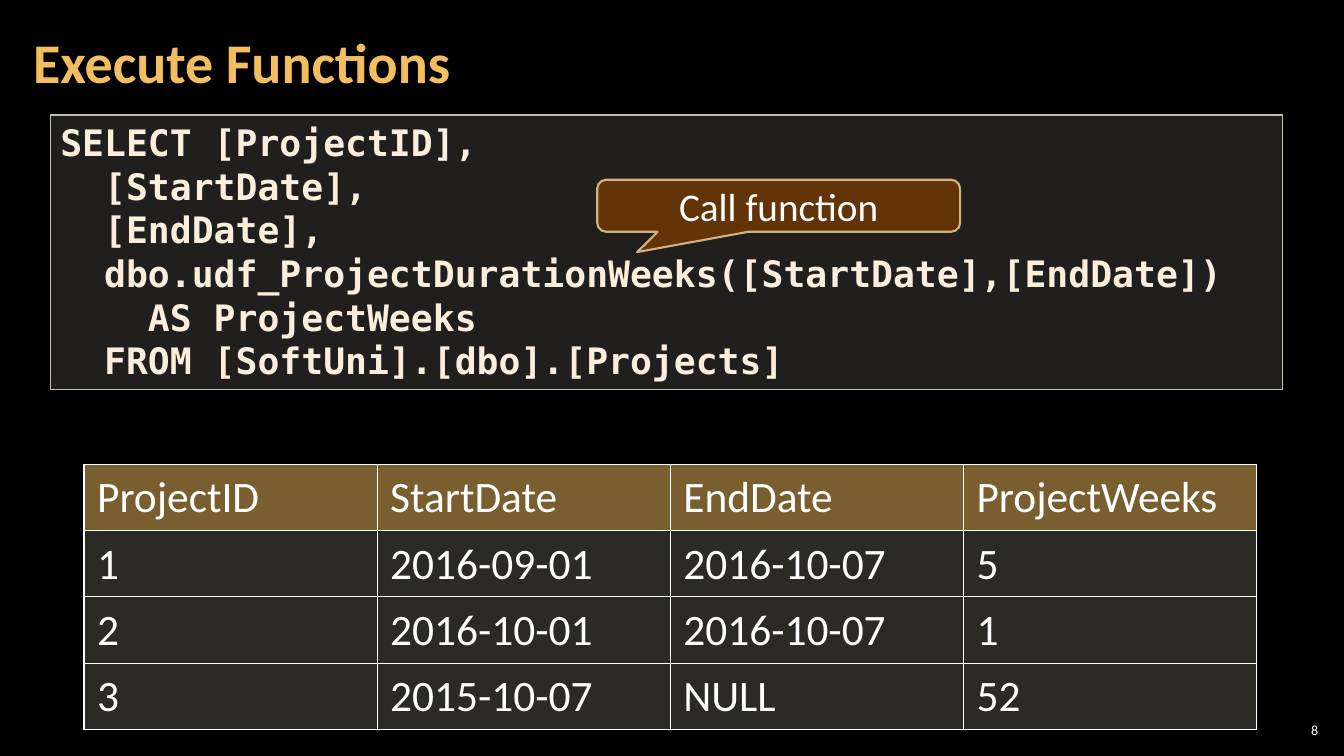
import dataclasses

import pptx
import pptx.dml.color
import pptx.enum.shapes
import pptx.enum.text
import pptx.oxml
import pptx.oxml.ns
import pptx.util

Shape = pptx.enum.shapes.MSO_SHAPE
Align = pptx.enum.text.PP_ALIGN
Anchor = pptx.enum.text.MSO_ANCHOR


@dataclasses.dataclass
class Theme:
    back: str = "000000"
    white: str = "FFFFFF"
    gold: str = "F3BE60"
    cream: str = "FBEEDC"
    sand: str = "D9D5C7"
    edge: str = "C7BFAC"
    brown: str = "663606"
    rim: str = "F8D49E"
    sans: str = "Calibri"
    mono: str = "DejaVu Sans Mono"
    title: int = 40
    cell: int = 31
    call: int = 28
    code: int = 26
    small: int = 10


class Deck:
    """Draws elements on one slide, placed on a grid of 16 columns and 9 rows."""

    def __init__(self, theme):
        self.theme = theme
        self.show = pptx.Presentation()
        self.show.slide_width = pptx.util.Inches(13.33)
        self.show.slide_height = pptx.util.Inches(7.5)
        self.slide = self.show.slides.add_slide(self.show.slide_layouts[6])
        self.paint(self.slide.background.fill, theme.back)

    def place(self, col, row, wide, high):
        unit_x, unit_y = self.show.slide_width / 16, self.show.slide_height / 9
        return [round(n) for n in (col * unit_x, row * unit_y, wide * unit_x, high * unit_y)]

    def rgb(self, color):
        return pptx.dml.color.RGBColor.from_string(color)

    def paint(self, fill, color):
        fill.solid()
        fill.fore_color.rgb = self.rgb(color)

    def fade(self, root, share):
        tint = root.find(".//" + pptx.oxml.ns.qn("a:srgbClr"))
        alpha = tint.makeelement(pptx.oxml.ns.qn("a:alpha"), {"val": str(share * 1000)})
        tint.append(alpha)

    def letter(self, frame, lines, size, color, face=None, bold=False, align=Align.LEFT,
               space=1.0, anchor=Anchor.MIDDLE, inset=(0.1, 0.05)):
        side, edge = (pptx.util.Inches(n) for n in inset)
        form = {"word_wrap": True, "vertical_anchor": anchor, "margin_left": side,
                "margin_right": side, "margin_top": edge, "margin_bottom": edge}
        for key, value in form.items():
            setattr(frame, key, value)
        frame.text = "\n".join(lines)
        style = {"size": pptx.util.Pt(size), "name": face or self.theme.sans, "bold": bold}
        for para in frame.paragraphs:
            para.alignment = align
            para.line_spacing = space
            for run in para.runs:
                for key, value in style.items():
                    setattr(run.font, key, value)
                run.font.color.rgb = self.rgb(color)

    def text(self, spot, line, size, color, **form):
        box = self.slide.shapes.add_textbox(*self.place(*spot))
        self.letter(box.text_frame, [line], size, color, **form)

    def panel(self, kind, spot, fill, line, lines, size, color, **form):
        shape = self.slide.shapes.add_shape(kind, *self.place(*spot))
        shape.shadow.inherit = False
        self.paint(shape.fill, fill[0])
        shape.line.color.rgb = self.rgb(line[0])
        shape.line.width = pptx.util.Pt(line[1])
        props = shape.element.spPr
        self.fade(props.find(pptx.oxml.ns.qn("a:solidFill")), fill[1])
        self.fade(props.find(pptx.oxml.ns.qn("a:ln")), line[2])
        self.letter(shape.text_frame, lines, size, color, **form)
        return shape

    def border(self, cell):
        props = cell._tc.get_or_add_tcPr()
        for spot, side in enumerate("LRTB"):
            props.insert(spot, pptx.oxml.parse_xml(
                f'<a:ln{side} {pptx.oxml.ns.nsdecls("a")} w="12700"><a:solidFill>'
                f'<a:srgbClr val="{self.theme.white}"/></a:solidFill></a:ln{side}>'))

    def table(self, spot, rows):
        look = self.theme
        grid = self.slide.shapes.add_table(len(rows), len(rows[0]), *self.place(*spot)).table
        form = {"margin_left": 0.13, "margin_right": 0.13,
                "margin_top": 0.07, "margin_bottom": 0.07}
        for r, row in enumerate(rows):
            color, share = (look.sand, 20) if r else (look.gold, 50)
            for c, word in enumerate(row):
                cell = grid.cell(r, c)
                self.letter(cell.text_frame, [word], look.cell, look.white)
                for key, value in form.items():
                    setattr(cell, key, pptx.util.Inches(value))
                cell.vertical_anchor = Anchor.TOP
                self.paint(cell.fill, color)
                self.fade(cell._tc.tcPr, share)
                self.border(cell)


def main():
    look = Theme()
    deck = Deck(look)
    deck.text((15.18, 8.57, 0.56, 0.25), "8", look.small, look.white,
              align=Align.RIGHT, inset=(0.04, 0.04))
    deck.text((0.25, 0.05, 12.56, 1.45), "Execute Functions", look.title, look.gold,
              bold=True, space=0.9, inset=(0.12, 0.04))
    query = ["SELECT [ProjectID],",
             "  [StartDate],",
             "  [EndDate],",
             "  dbo.udf_ProjectDurationWeeks([StartDate],[EndDate])",
             "    AS ProjectWeeks",
             "  FROM [SoftUni].[dbo].[Projects]"]
    deck.panel(Shape.RECTANGLE, (0.6, 1.37, 14.67, 3.27), (look.sand, 15),
               (look.edge, 1, 100), query, look.code, look.cream,
               face=look.mono, bold=True, anchor=Anchor.TOP)
    deck.table((1, 5.53, 13.96, 3.14), [
        ["ProjectID", "StartDate", "EndDate", "ProjectWeeks"],
        ["1", "2016-09-01", "2016-10-07", "5"],
        ["2", "2016-10-01", "2016-10-07", "1"],
        ["3", "2015-10-07", "NULL", "52"]])
    call = deck.panel(Shape.ROUNDED_RECTANGULAR_CALLOUT, (7.11, 2.14, 4.32, 0.62),
                      (look.brown, 95), (look.rim, 1.5, 80), ["Call function"],
                      look.call, look.white, align=Align.CENTER)
    for spot, value in enumerate((-0.39, 0.89, 0.17)):
        call.adjustments[spot] = value
    deck.show.save("out.pptx")


if __name__ == "__main__":
    main()
